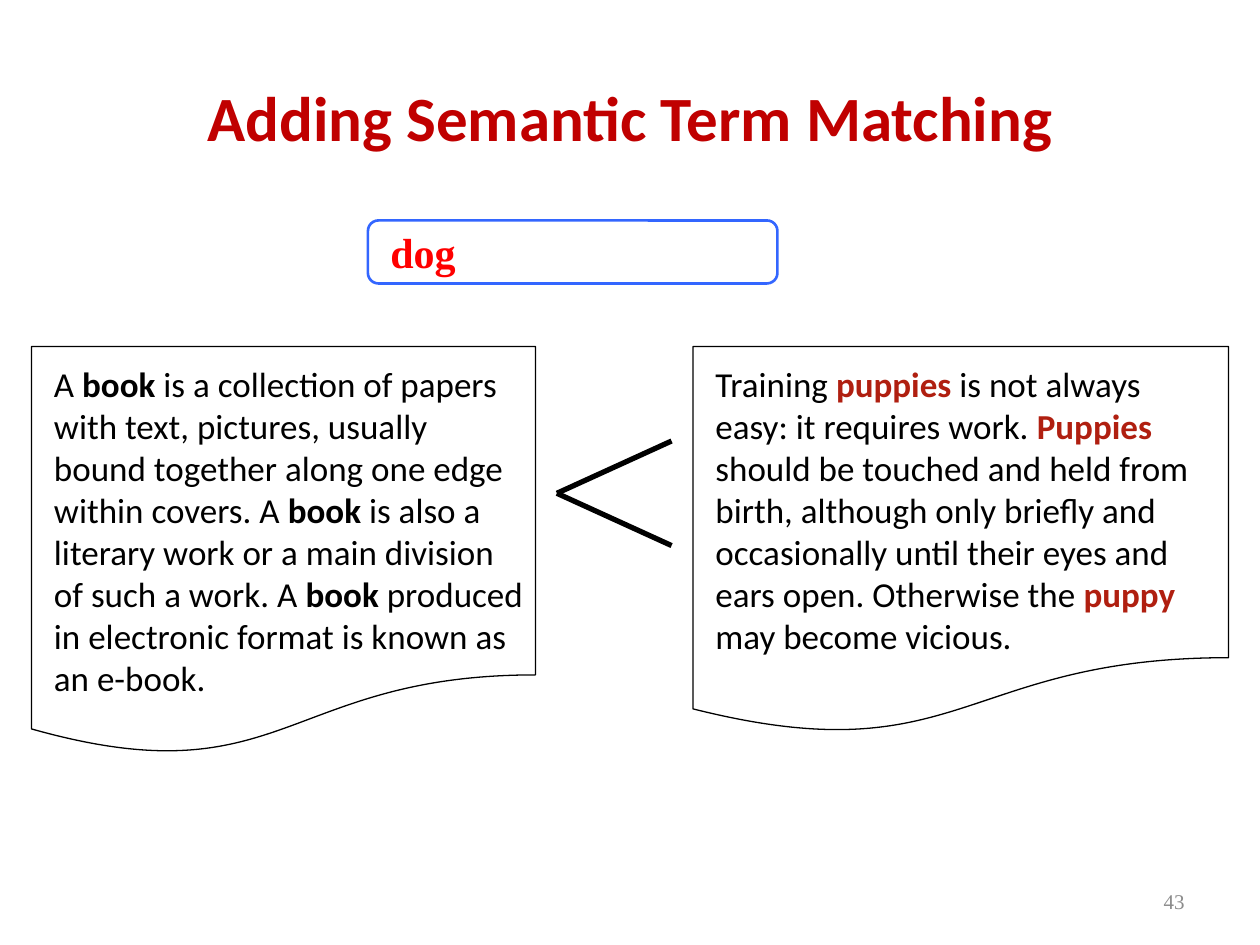
from pptx import Presentation
from pptx import util as u
from pptx.dml.color import RGBColor
from pptx.enum import shapes, text
from pptx.oxml import ns
from lxml import etree

TITLE_RED = RGBColor(0xC0, 0x00, 0x00)
QUERY_RED = RGBColor(0xFF, 0x00, 0x00)
MATCH_RED = RGBColor(0xB0, 0x1F, 0x10)
BLUE = RGBColor(0x33, 0x66, 0xFF)
BLACK = RGBColor(0x00, 0x00, 0x00)
GRAY = RGBColor(0x8C, 0x8C, 0x8C)
SANS, SERIF = "Calibri", "Times New Roman"

BOOK_TEXT = [
    ("A ", False), ("book", True),
    (" is a collection of papers with text, pictures, usually bound together "
     "along one edge within covers. A ", False), ("book", True),
    (" is also a literary work or a main division of such a work. A ", False),
    ("book", True),
    (" produced in electronic format is known as an e-book.", False),
]
PUPPY_TEXT = [
    ("Training ", False), ("puppies", True),
    (" is not always easy: it requires work. ", False), ("Puppies ", True),
    ("should be touched and held from birth, although only briefly and "
     "occasionally until their eyes and ears open. Otherwise the ", False),
    ("puppy ", True), ("may become vicious.", False),
]


def inches(box):
    return [u.Inches(length) for length in box]


def format_span(span, font, size, color, bold=False):
    span.font.name = font
    span.font.size = u.Pt(size)
    span.font.color.rgb = color
    span.font.bold = bold


def add_outline(page, kind, box, color, width):
    outline = page.shapes.add_shape(kind, *inches(box))
    outline.shadow.inherit = False
    outline.fill.background()
    outline.line.color.rgb = color
    outline.line.width = u.Pt(width)
    return outline


def add_text(page, box):
    frame = page.shapes.add_textbox(*inches(box)).text_frame
    frame.word_wrap = True
    return frame


def place_title(page, box):
    title = page.shapes.title
    title.left, title.top, title.width, title.height = inches(box)
    frame = title.text_frame
    frame.text = "Adding Semantic Term Matching"
    frame.vertical_anchor = text.MSO_ANCHOR.MIDDLE
    para = frame.paragraphs[0]
    para.alignment = text.PP_ALIGN.CENTER
    format_span(para.runs[0], SANS, 36, TITLE_RED, True)


def place_query(page, box):
    left, top, width, height = box
    add_outline(page, shapes.MSO_SHAPE.ROUNDED_RECTANGLE, box, BLUE, 1.5)
    frame = add_text(page, (left + 0.08, top, 0.92, height))
    frame.text = "dog"
    format_span(frame.paragraphs[0].runs[0], SERIF, 24, QUERY_RED, True)


def place_document(page, box, text_size, wording, match_color):
    left, top, width, height = box
    add_outline(page, shapes.MSO_SHAPE.FLOWCHART_DOCUMENT, box, BLACK, 0.75)
    para = add_text(page, (left + 0.08, top + 0.08, *text_size)).paragraphs[0]
    for words, is_match in wording:
        span = para.add_run()
        span.text = words
        format_span(span, SANS, 20, match_color if is_match else BLACK, is_match)


def place_less_than(page, box):
    left, top, width, height = box
    tip = (left, top + height / 2)
    for end_y in (top, top + height):
        stroke = page.shapes.add_connector(
            shapes.MSO_CONNECTOR.STRAIGHT, *inches((*tip, left + width, end_y)))
        stroke.line.color.rgb = BLACK
        stroke.line.width = u.Pt(3)
        etree.SubElement(stroke._element.spPr, ns.qn("a:effectLst"))


def place_page_number(page, box):
    frame = add_text(page, box)
    frame.text = "43"
    frame.vertical_anchor = text.MSO_ANCHOR.MIDDLE
    para = frame.paragraphs[0]
    para.alignment = text.PP_ALIGN.RIGHT
    format_span(para.runs[0], SERIF, 12, GRAY)


def main():
    deck = Presentation()
    deck.slide_width, deck.slide_height = u.Inches(10), u.Inches(7.5)
    page = deck.slides.add_slide(deck.slide_layouts[5])
    place_title(page, (0.5, 0.3, 9, 1.25))
    place_query(page, (2.92, 1.75, 3.25, 0.5))
    place_document(page, (0.25, 2.75, 4, 3.25), (3.92, 2.77), BOOK_TEXT, BLACK)
    place_document(page, (5.5, 2.75, 4.25, 3.08), (4, 2.43), PUPPY_TEXT, MATCH_RED)
    place_less_than(page, (4.42, 3.5, 0.91, 0.83))
    place_page_number(page, (7.17, 6.95, 2.33, 0.4))
    deck.save("out.pptx")


if __name__ == "__main__":
    main()
